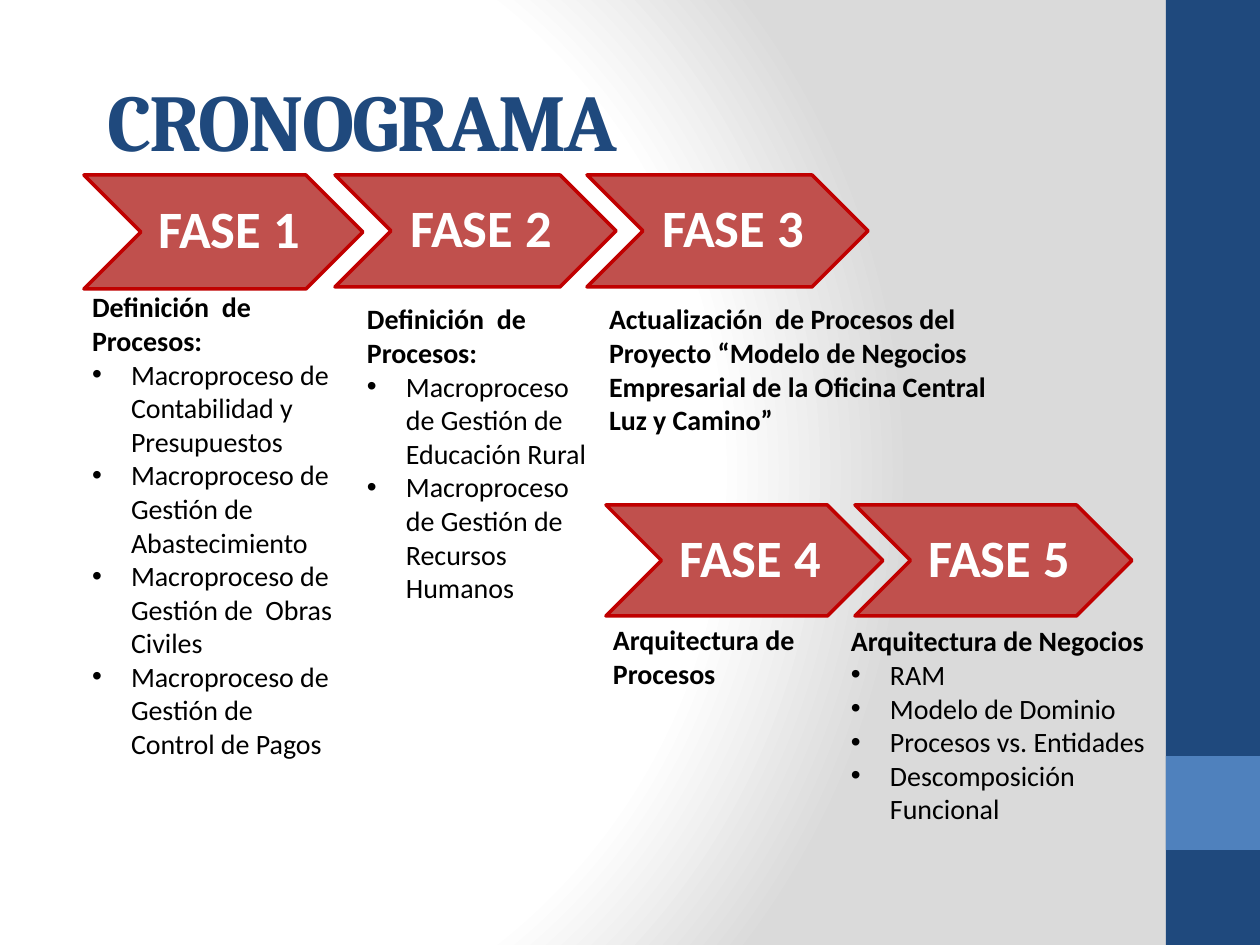
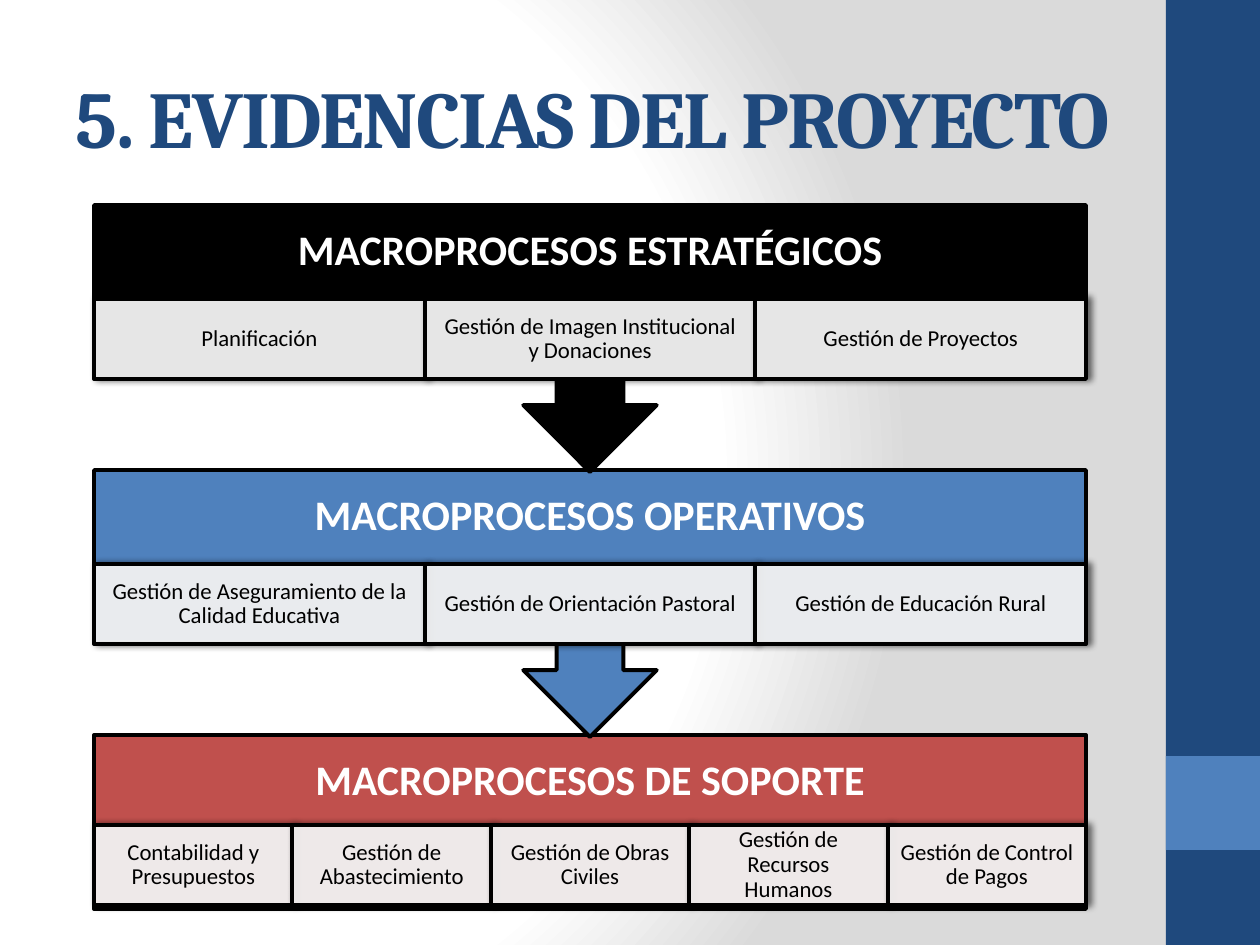
"""Build a phase timeline slide and a macroprocess map slide."""
from pptx import Presentation
from pptx.dml.color import RGBColor
from pptx.enum.shapes import MSO_SHAPE
from pptx.enum.text import MSO_ANCHOR, MSO_AUTO_SIZE, PP_ALIGN
from pptx.oxml import parse_xml
from pptx.oxml.ns import nsdecls, qn
from pptx.util import Emu, Pt

PX = 914400 / 126
COLORS = {
    "navy": "1F497D", "blue": "4F81BD", "red": "C0504D", "edge": "C00000",
    "black": "000000", "white": "FFFFFF", "grey": "DADADA",
}
TITLE = {"size": Pt(46), "bold": True, "name": "Cambria"}
PHASE = {"size": Pt(30), "bold": True, "name": "Calibri"}
HEADING = {"size": Pt(16), "bold": True, "name": "Calibri"}
ITEM = HEADING | {"bold": False}
BANNER = {"size": Pt(24), "bold": True, "name": "Calibri"}
CELL = {"size": Pt(13), "bold": False, "name": "Calibri"}
CENTERED = {"alignment": PP_ALIGN.CENTER, "line_spacing": 0.9}
LEFT = {"alignment": PP_ALIGN.LEFT, "space_before": Pt(0)}


def add_box(shapes, kind, box, fill, edge=None, weight=0):
    shape = shapes.add_shape(kind, *[Emu(round(value * PX)) for value in box])
    shape.shadow.inherit = False
    shape.fill.solid()
    shape.fill.fore_color.rgb = RGBColor.from_string(COLORS[fill])
    if edge:
        shape.line.color.rgb = RGBColor.from_string(COLORS[edge])
        shape.line.width = Pt(weight)
    else:
        shape.line.fill.background()
    return shape


def write(shape, lines, color, layout, margins, anchor=MSO_ANCHOR.MIDDLE, wrap=True):
    frame = shape.text_frame
    settings = {"auto_size": MSO_AUTO_SIZE.NONE, "word_wrap": wrap, "vertical_anchor": anchor}
    for side, margin in zip(("left", "top", "right", "bottom"), margins):
        settings["margin_" + side] = Emu(round(margin * PX))
    for name, value in settings.items():
        setattr(frame, name, value)
    for index, (text, font) in enumerate(lines):
        paragraph = frame.add_paragraph() if index else frame.paragraphs[0]
        for name, value in layout.items():
            setattr(paragraph, name, value)
        run = paragraph.add_run()
        run.text = text
        for name, value in font.items():
            setattr(run.font, name, value)
        run.font.color.rgb = RGBColor.from_string(COLORS[color])


presentation = Presentation()
presentation.slide_width = Emu(round(1260 * PX))
presentation.slide_height = Emu(round(945 * PX))
master = presentation.slide_master
timeline = presentation.slides.add_slide(presentation.slide_layouts[4])
process_map = presentation.slides.add_slide(presentation.slide_layouts[5])

master.background.fill.solid()
solid = next(master.element.iter(qn("p:bgPr"))).find(qn("a:solidFill"))
stops = "".join(
    f'<a:gs pos="{position}000"><a:srgbClr val="{COLORS[color]}"/></a:gs>'
    for position, color in ((0, "white"), (75, "white"), (100, "grey"))
)
solid.getparent().replace(solid, parse_xml(
    f'<a:gradFill {nsdecls("a")} rotWithShape="1"><a:gsLst>{stops}</a:gsLst>'
    '<a:path path="circle"><a:fillToRect l="20000" t="50000" r="100000" b="50000"/>'
    '</a:path></a:gradFill>'
))
bands = [((1166, 0, 94, 945), "navy"), ((1166, 756, 94, 94), "blue")]
for position, (box, color) in enumerate(bands):
    band = add_box(timeline.shapes, MSO_SHAPE.RECTANGLE, box, color)
    master.element.cSld.spTree.insert(2 + position, band.element)

titles = [
    (timeline, "CRONOGRAMA", (94, 56, 1042, 127)),
    (process_map, "5. EVIDENCIAS DEL PROYECTO", (63, 38, 1113, 157)),
]
for slide, text, box in titles:
    title = slide.shapes.title
    for name, value in zip(("left", "top", "width", "height"), box):
        setattr(title, name, Emu(round(value * PX)))
    write(title, [(text, TITLE)], "navy", LEFT, (13, 6, 13, 6))
    for run in title.text_frame.paragraphs[0].runs:
        run.font._element.set("spc", "-100")

phases = [
    ("FASE 1", (84, 175, 279, 114), (79, 284, 268, 564), "Definición  de Procesos:", [
        "Macroproceso de Contabilidad y Presupuestos",
        "Macroproceso de Gestión de Abastecimiento",
        "Macroproceso de Gestión de  Obras Civiles",
        "Macroproceso de Gestión de Control de Pagos",
    ]),
    ("FASE 2", (335, 175, 281, 112), (354, 296, 246, 394), "Definición  de Procesos:", [
        "Macroproceso de Gestión de Educación Rural",
        "Macroproceso de Gestión de  Recursos Humanos",
    ]),
    ("FASE 4", (606, 505, 277, 111), (600, 617, 294, 81), "Arquitectura de Procesos", []),
    ("FASE 5", (855, 505, 277, 111), (838, 618, 331, 289), "Arquitectura de Negocios", [
        "RAM", "Modelo de Dominio", "Procesos vs. Entidades", "Descomposición Funcional",
    ]),
    ("FASE 3", (587, 175, 281, 112), (596, 296, 408, 186),
     "Actualización  de Procesos del Proyecto “Modelo de Negocios "
     "Empresarial de la Oficina Central Luz y Camino”", []),
]
bodies = list(timeline.placeholders)[1:]
bodies.append(timeline.shapes.add_textbox(0, 0, 0, 0))
for (phase, arrow_box, text_box, heading, items), body in zip(phases, bodies):
    chevron = add_box(timeline.shapes, MSO_SHAPE.CHEVRON, arrow_box, "red", "edge", 2)
    write(chevron, [(phase, PHASE)], "white", CENTERED, (16, 5, 5, 5), wrap=False)
    for name, value in zip(("left", "top", "width", "height"), text_box):
        setattr(body, name, Emu(round(value * PX)))
    lines = [(heading, HEADING)] + [(item, ITEM) for item in items]
    write(body, lines, "black", LEFT, (13, 6, 13, 6), MSO_ANCHOR.TOP)
    for index, paragraph in enumerate(body.text_frame.paragraphs):
        properties = paragraph._p.get_or_add_pPr()
        indent = round(39 * PX) if index else 0
        properties.set("marL", str(indent))
        properties.set("indent", str(-indent))
        if index:
            properties.append(parse_xml(f'<a:buFont {nsdecls("a")} typeface="Arial"/>'))
            properties.append(parse_xml(f'<a:buChar {nsdecls("a")} char="•"/>'))
        else:
            properties.append(parse_xml(f'<a:buNone {nsdecls("a")}/>'))

levels = [
    ("MACROPROCESOS DE SOPORTE", MSO_SHAPE.RECTANGLE, "red", 735, 174, 90, [
        "Contabilidad y Presupuestos", "Gestión de Abastecimiento",
        "Gestión de Obras Civiles", "Gestión de Recursos Humanos",
        "Gestión de Control de Pagos",
    ]),
    ("MACROPROCESOS OPERATIVOS", MSO_SHAPE.DOWN_ARROW_CALLOUT, "blue", 470, 267, 94, [
        "Gestión de Aseguramiento de la Calidad Educativa",
        "Gestión de Orientación Pastoral", "Gestión de Educación Rural",
    ]),
    ("MACROPROCESOS ESTRATÉGICOS", MSO_SHAPE.DOWN_ARROW_CALLOUT, "black", 205, 267, 94, [
        "Planificación", "Gestión de Imagen Institucional y Donaciones",
        "Gestión de Proyectos",
    ]),
]
for heading, kind, color, top, height, cell_offset, processes in levels:
    level = add_box(process_map.shapes, kind, (94, top, 992, height), color, "black", 2.25)
    write(level, [(heading, BANNER)], "white", CENTERED, (24, 0, 24, 80))
    cell_width = 992 / len(processes)
    for column, process in enumerate(processes):
        box = (94 + column * cell_width, top + cell_offset, cell_width, 80)
        cell = add_box(process_map.shapes, MSO_SHAPE.RECTANGLE, box, "white", "black", 2.25)
        write(cell, [(process, CELL)], "black", CENTERED, (13, 2, 13, 2))
        properties = cell.element.spPr
        properties.find(qn("a:solidFill"))[0].append(
            parse_xml(f'<a:alpha {nsdecls("a")} val="90000"/>'))
        properties.find(qn("a:effectLst")).append(parse_xml(
            f'<a:outerShdw {nsdecls("a")} blurRad="50800" dist="25400" dir="0">'
            f'<a:srgbClr val="{COLORS["black"]}"><a:alpha val="60000"/></a:srgbClr>'
            '</a:outerShdw>'))

presentation.save("out.pptx")
